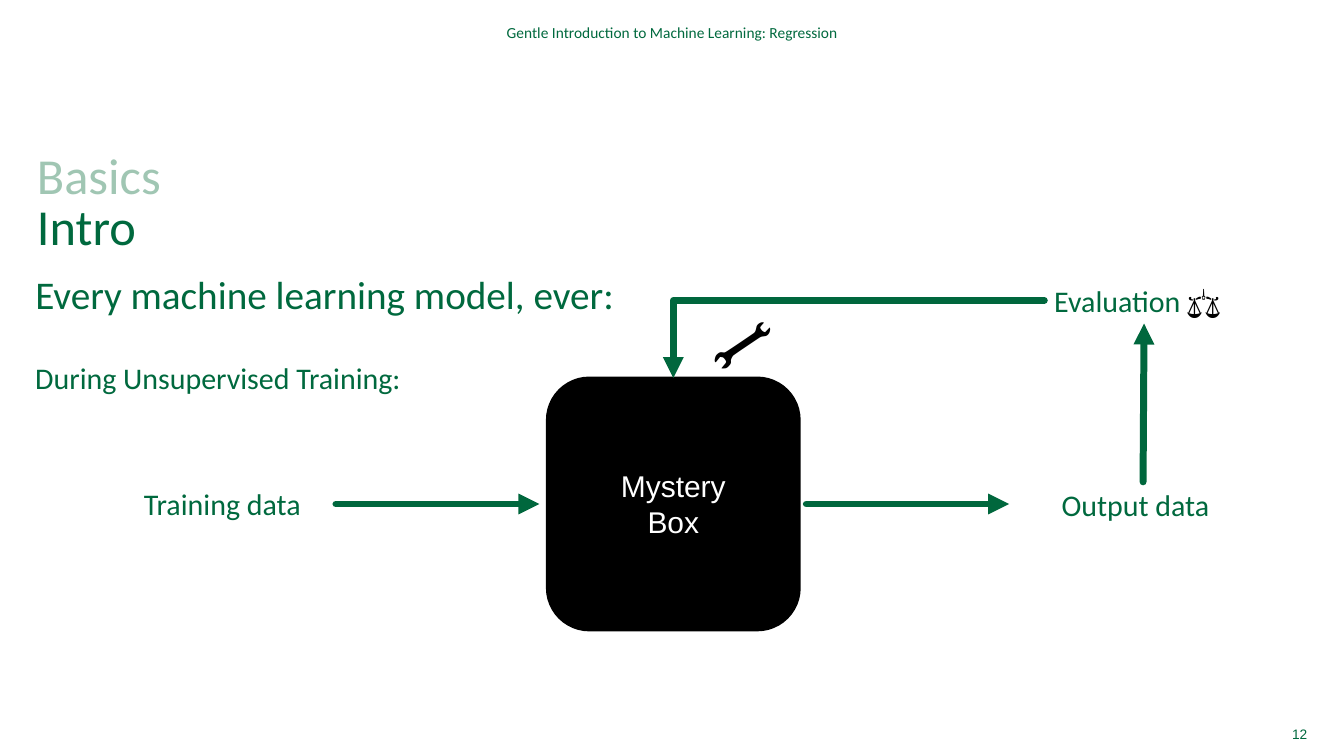
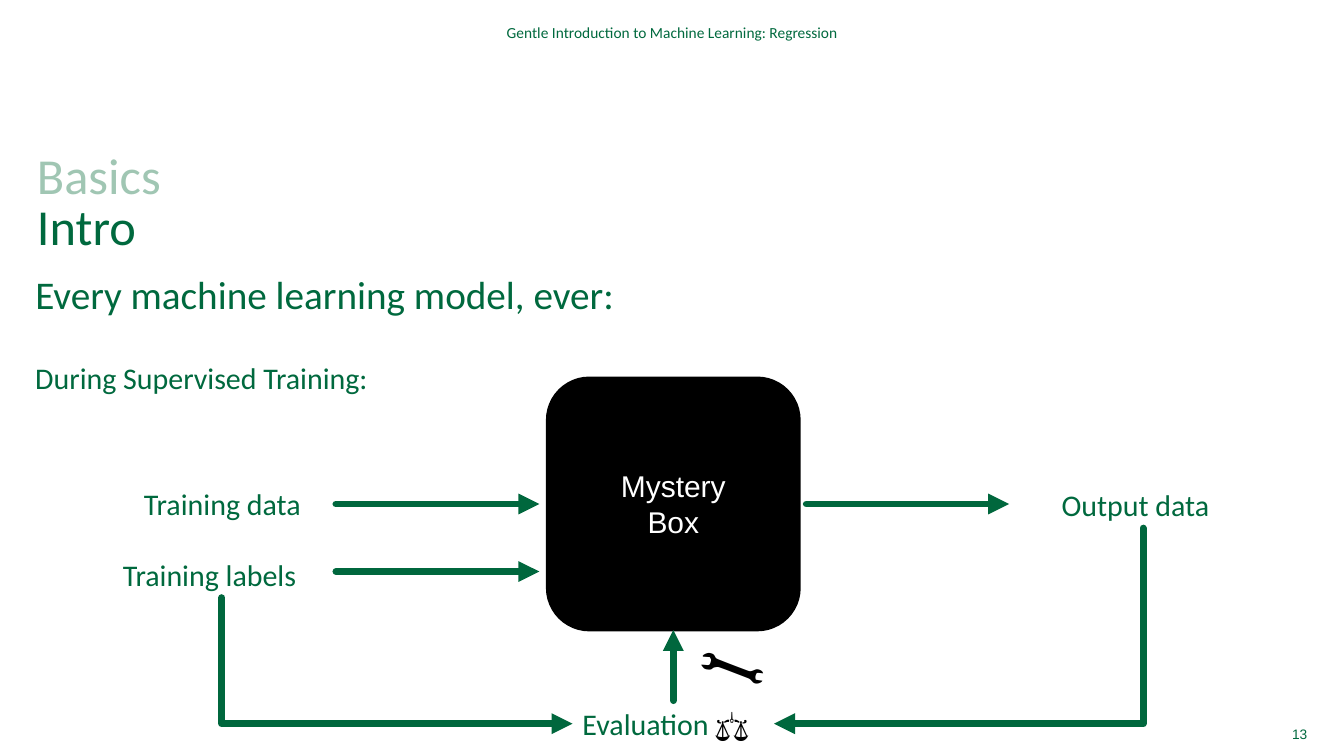
from lxml.etree import SubElement
from pptx import Presentation
from pptx.dml.color import RGBColor
from pptx.enum.shapes import MSO_CONNECTOR as Link, MSO_SHAPE as Preset
from pptx.enum.text import MSO_ANCHOR as Anchor, MSO_AUTO_SIZE as Fit, PP_ALIGN as Align
from pptx.oxml.ns import qn
from pptx.util import Inches, Pt

WIDTH, HEIGHT = Inches(13.33), Inches(7.5)
COLUMNS, ROWS = 40, 30
COLORS = {"green": "00693E", "pale": "A0C6B3", "arrow": "00673D",
          "black": "000000", "white": "FFFFFF"}
MARGINS = ("margin_left", "margin_top", "margin_right", "margin_bottom")
FLUSH = dict.fromkeys(MARGINS, 0)
FLOW_ROW, LABEL_ROW = 20, 22.68
BOX_MIDDLE, OUTPUT_MIDDLE = 20.04, 34.02
INPUT_SPAN, OUTPUT_SPAN = (10, 16.05), (24, 30.03)
LABEL_HEIGHT = 1.84


def across(columns):
    return round(WIDTH * columns / COLUMNS)


def down(rows):
    return round(HEIGHT * rows / ROWS)


def place(left, top, width, height):
    return across(left), down(top), across(width), down(height)


def apply(target, values):
    for name, value in values.items():
        setattr(target, name, value)


def write(box, spans, size, frame_format, para_format):
    frame = box.text_frame
    apply(frame, {"word_wrap": True, **frame_format})
    para = frame.paragraphs[0]
    apply(para, para_format)
    for text, font, color in spans:
        for index, line in enumerate(text.split("\n")):
            if index:
                para.add_line_break()
            if line:
                span = para.add_run()
                span.text = line
                apply(span.font, {"name": font, "size": Pt(size)})
                span.font.color.rgb = RGBColor.from_string(COLORS[color])


def add_text(owner, area, spans, size, frame_format=FLUSH, **para_format):
    box = owner.shapes.add_textbox(*place(*area))
    write(box, spans, size, frame_format, para_format)
    return box


def add_label(owner, left, top, width, text, symbol="", **frame_format):
    spans = [(text, "Calibri", "green")]
    if symbol:
        spans.append((symbol, "Arial", "black"))
    fit = {"word_wrap": False, "auto_size": Fit.SHAPE_TO_FIT_TEXT, **frame_format}
    add_text(owner, (left, top, width, LABEL_HEIGHT), spans, 21.4, fit)


def add_arrow(owner, start, end, kind=Link.STRAIGHT, tip="tailEnd"):
    arrow = owner.shapes.add_connector(
        kind, across(start[0]), down(start[1]), across(end[0]), down(end[1]))
    arrow.line.color.rgb = RGBColor.from_string(COLORS["arrow"])
    arrow.line.width = Pt(5)
    outline = arrow.line._get_or_add_ln()
    outline.set("cap", "rnd")
    SubElement(outline, qn("a:round"))
    SubElement(outline, qn(f"a:{tip}"), type="triangle")
    SubElement(arrow._element.spPr, qn("a:effectLst"))
    return arrow


def add_corner(page, start, end, tip="tailEnd"):
    arrow = add_arrow(page, start, end, Link.ELBOW, tip)
    arrow._element.spPr.find(qn("a:prstGeom")).set("prst", "bentConnector2")


def add_flow(page, span, row, label):
    group = page.shapes.add_group_shape()
    add_arrow(group, (span[0], row), (span[1], row))
    add_label(group, *label)


def add_wrench(page, left, top, angle):
    box = add_text(page, (left, top, 3.03, 3.08), [("🔧", "Arial", "black")], 40,
                   {"auto_size": Fit.SHAPE_TO_FIT_TEXT})
    box.rotation = angle


def add_mystery_box(page):
    box = page.shapes.add_shape(Preset.ROUNDED_RECTANGLE, *place(16.29, 15, 7.5, 10))
    box.shadow.inherit = False
    black = RGBColor.from_string(COLORS["black"])
    box.fill.solid()
    box.fill.fore_color.rgb = black
    box.line.color.rgb = black
    box.line.width = Pt(2)
    write(box, [("Mystery\nBox", "Arial", "white")], 21.4,
          {"vertical_anchor": Anchor.MIDDLE}, {"alignment": Align.CENTER})


def add_page(deck, number, phase, phase_width):
    page = deck.slides.add_slide(deck.slide_layouts[6])
    middle = {**FLUSH, "vertical_anchor": Anchor.MIDDLE}
    add_text(page, (1.05, 10.36, 37.9, 18.04),
             [("Every machine learning model, ever:", "Calibri", "green")], 28,
             line_spacing=1.2, space_before=Pt(6), space_after=Pt(6))
    add_text(page, (1.1, 6.08, 37.9, 4.04),
             [("Basics\n", "Calibri", "pale"), ("Intro", "Calibri", "green")], 36,
             line_spacing=0.85)
    add_text(page, (7.83, 0.8, 24.36, 0.96),
             [("Gentle Introduction to Machine Learning: Regression", "Calibri", "green")],
             11, middle, alignment=Align.CENTER)
    add_text(page, (37.2, 28.64, 1.71, 0.96), [(str(number), "Arial", "green")], 9.8,
             middle, alignment=Align.RIGHT)
    add_mystery_box(page)
    add_flow(page, INPUT_SPAN, FLOW_ROW, (3.99, 19.08, 5.88, "Training data"))
    add_flow(page, OUTPUT_SPAN, FLOW_ROW, (31.3, 19.1, 5.5, "Output data"))
    add_label(page, 1.05, 14.08, phase_width, phase, margin_left=0)
    return page


def add_evaluation(page, left, top):
    add_label(page, left, top, 6, "Evaluation ", "⚖️")


def add_unsupervised(deck):
    page = add_page(deck, 12, "During Unsupervised Training:", 12.69)
    add_arrow(page, (OUTPUT_MIDDLE, 19.12), (OUTPUT_MIDDLE + 0.03, 12.84))
    add_evaluation(page, 31.08, 11)
    add_corner(page, (31.08, 11.92), (BOX_MIDDLE, 15))
    add_wrench(page, 20.46, 11.64, 277.4)


def add_supervised(deck):
    page = add_page(deck, 13, "During Supervised Training:", 11.67)
    add_evaluation(page, 17.04, 27.8)
    add_wrench(page, 20.55, 24.56, 332.4)
    add_arrow(page, (BOX_MIDDLE, 27.8), (BOX_MIDDLE, 25))
    add_flow(page, INPUT_SPAN, LABEL_ROW, (3.36, 21.88, 6.48, "Training labels"))
    add_corner(page, (17.04, 28.72), (6.6, 23.72), "headEnd")
    add_corner(page, (23.04, 28.72), (OUTPUT_MIDDLE, 20.96), "headEnd")


def main():
    deck = Presentation()
    apply(deck, {"slide_width": WIDTH, "slide_height": HEIGHT})
    add_unsupervised(deck)
    add_supervised(deck)
    deck.save("out.pptx")


if __name__ == "__main__":
    main()
